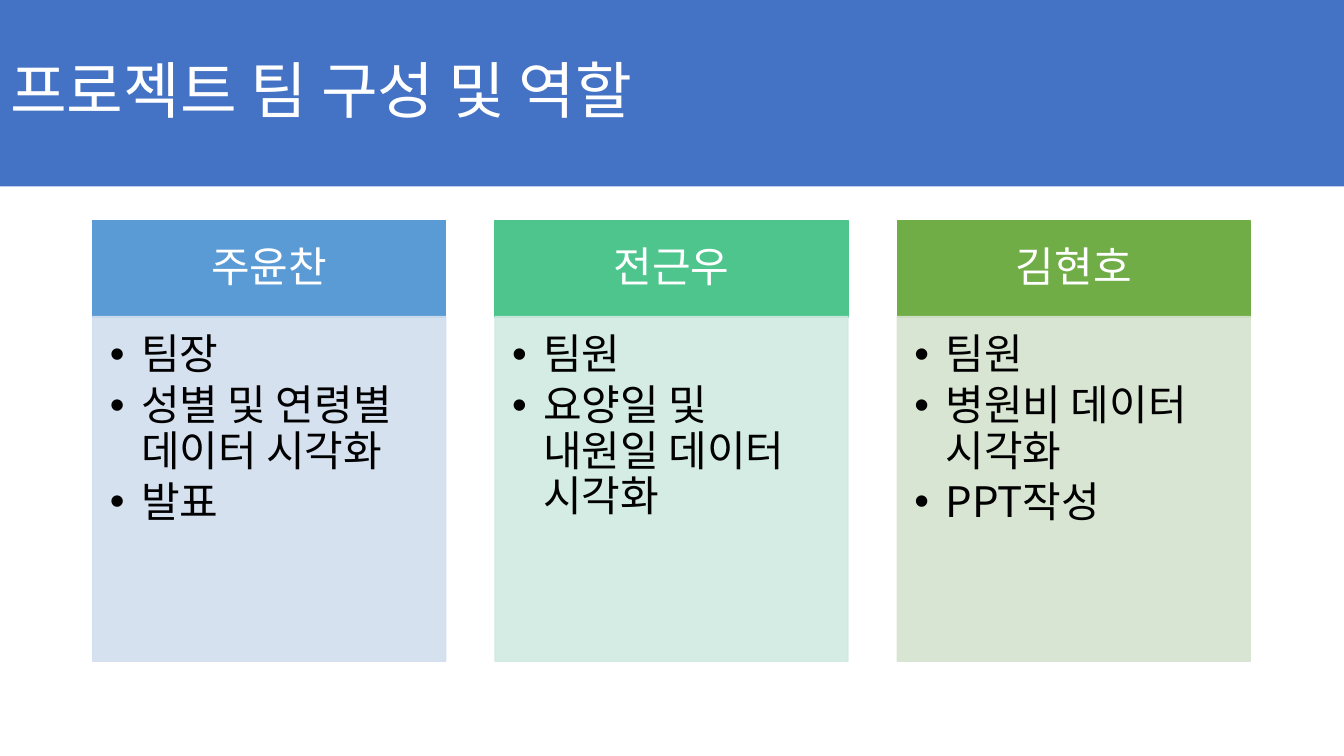
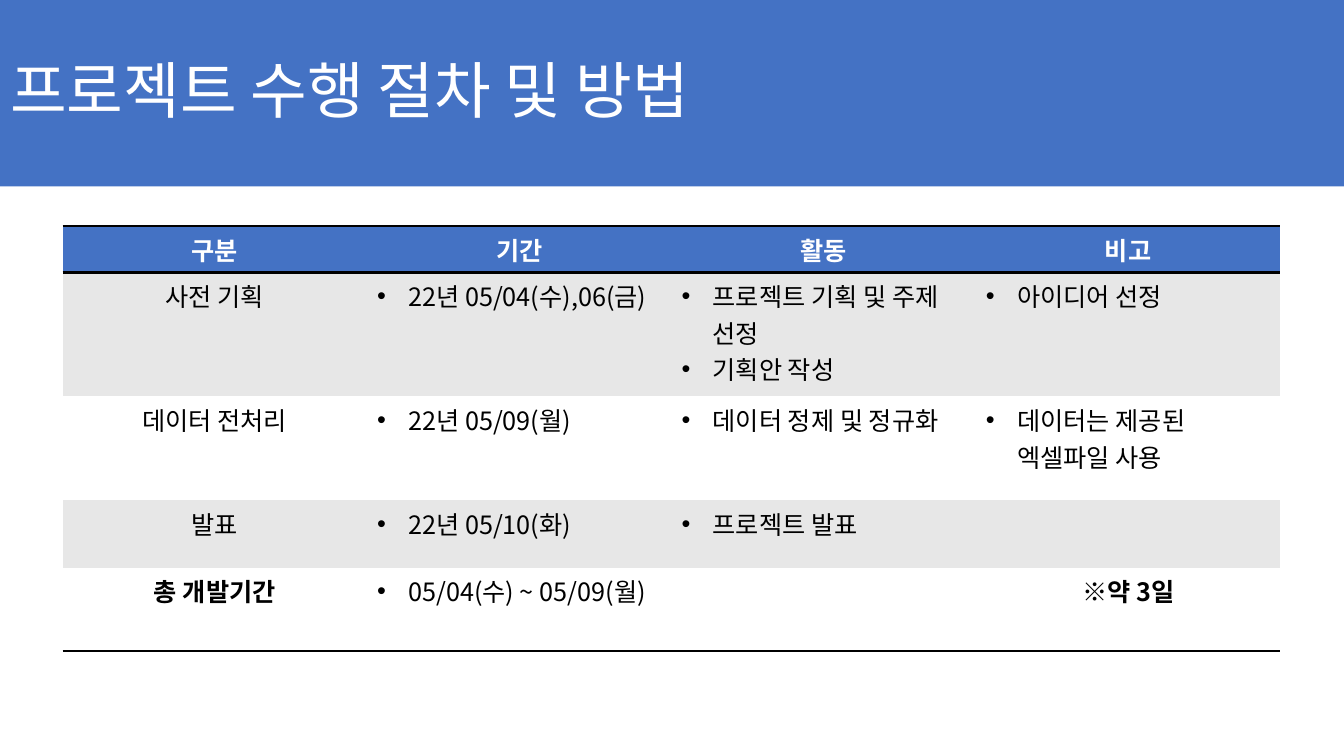
from pptx import Presentation
from pptx.dml.color import RGBColor
from pptx.enum.shapes import MSO_SHAPE
from pptx.enum.text import MSO_ANCHOR, MSO_AUTO_SIZE, PP_ALIGN
from pptx.oxml.ns import qn
from pptx.util import Inches, Pt
from lxml import etree

RECTANGLE = MSO_SHAPE.RECTANGLE
TOP, MIDDLE = MSO_ANCHOR.TOP, MSO_ANCHOR.MIDDLE
LEFT, CENTER = PP_ALIGN.LEFT, PP_ALIGN.CENTER
NO_AUTOFIT = MSO_AUTO_SIZE.NONE

BLUE, WHITE, BLACK, GRAY = "4472C4", "FFFFFF", "000000", "E7E7E7"
TITLE_FONT, BODY_FONT = "Noto Sans CJK KR", "Noto Sans CJK JP"
SLIDE_WIDTH, SLIDE_HEIGHT, BAND_HEIGHT = 13.33, 7.5, 1.85
BULLET_INDENT = 0.31
NO_GRID_STYLE = "{2D5ABB26-0587-4C30-8999-92F81FD0307C}"

TEAM_TITLE = "프로젝트 팀 구성 및 역할"
TEAM = [
    ("주윤찬", "5B9BD5", "D2DEEF", ["팀장", "성별 및 연령별 데이터 시각화", "발표"]),
    ("전근우", "4DC58D", "D0EAE1", ["팀원", "요양일 및 내원일 데이터 시각화"]),
    ("김현호", "70AD47", "D5E3CF", ["팀원", "병원비 데이터 시각화", "PPT작성"]),
]
CARD_LEFT, CARD_STEP, CARD_WIDTH = 0.92, 3.99, 3.5
NAME_TOP, NAME_HEIGHT = 2.19, 0.96
ROLE_TOP, ROLE_HEIGHT = 3.14, 3.42
NAME_INSETS = (0.23, 0.13, 0.23, 0.13)
ROLE_INSETS = (0.17, 0.17, 0.23, 0.26)

PLAN_TITLE = "프로젝트 수행 절차 및 방법"
PLAN_HEADER = ["구분", "기간", "활동", "비고"]
PLAN_STEPS = [
    ["사전 기획", ["22년 05/04(수),06(금)"],
     ["프로젝트 기획 및 주제 선정", "기획안 작성"], ["아이디어 선정"]],
    ["데이터 전처리", ["22년 05/09(월)"],
     ["데이터 정제 및 정규화"], ["데이터는 제공된 엑셀파일 사용"]],
    ["발표", ["22년 05/10(화)"], ["프로젝트 발표"], []],
    ["총 개발기간", ["05/04(수) ~ 05/09(월)"], [], "※약 3일"],
]
PLAN_LEFT, PLAN_TOP, PLAN_COLUMN = 0.62, 2.24, 3.02
PLAN_ROWS = [0.44, 1.23, 1.03, 0.67, 0.67]


def color(value):
    return RGBColor.from_string(value)


def apply(target, formats):
    for name, value in formats.items():
        setattr(target, name, value)


def add_child(parent, tag, **attributes):
    return etree.SubElement(parent, qn(tag), attributes)


def add_bullet(paragraph):
    properties = paragraph._p.get_or_add_pPr()
    properties.set("marL", str(Inches(BULLET_INDENT)))
    properties.set("indent", str(-Inches(BULLET_INDENT)))
    add_child(properties, "a:buFont", typeface="Arial")
    add_child(properties, "a:buChar", char="•")


def write(frame, content, font, size, text_color, bold=False, align=CENTER, **spacing):
    bulleted = isinstance(content, list)
    for index, text in enumerate(content if bulleted else [content]):
        paragraph = frame.paragraphs[0] if index == 0 else frame.add_paragraph()
        apply(paragraph, {"alignment": LEFT if bulleted else align, **spacing})
        if bulleted:
            add_bullet(paragraph)
        run = paragraph.add_run()
        run.text = text
        apply(run.font, {"name": font, "size": Pt(size), "bold": bold})
        run.font.color.rgb = color(text_color)
        add_child(run._r.get_or_add_rPr(), "a:ea", typeface=font)


def add_titled_slide(presentation, text):
    slide = presentation.slides.add_slide(presentation.slide_layouts[5])
    title = slide.shapes.title
    apply(title, {"left": 0, "top": 0, "width": Inches(SLIDE_WIDTH),
                  "height": Inches(BAND_HEIGHT)})
    title.fill.solid()
    title.fill.fore_color.rgb = color(BLUE)
    apply(title.text_frame, {"auto_size": NO_AUTOFIT, "word_wrap": True,
                             "vertical_anchor": MIDDLE})
    write(title.text_frame, text, TITLE_FONT, 44, WHITE, align=LEFT, line_spacing=0.9)
    return slide


def add_panel(slide, box, fill, content, text_color, insets, anchor, opacity=100):
    shape = slide.shapes.add_shape(RECTANGLE, *map(Inches, box))
    shape.shadow.inherit = False
    shape.line.width = Pt(1)
    for paint in (shape.fill, shape.line.fill):
        paint.solid()
        paint.fore_color.rgb = color(fill)
    if opacity < 100:
        for element in shape._element.spPr.iter(qn("a:srgbClr")):
            add_child(element, "a:alpha", val=str(opacity * 1000))
    frame = shape.text_frame
    apply(frame, {"word_wrap": True, "vertical_anchor": anchor})
    sides = ("margin_left", "margin_top", "margin_right", "margin_bottom")
    apply(frame, dict(zip(sides, map(Inches, insets))))
    write(frame, content, BODY_FONT, 30, text_color, line_spacing=0.9, space_after=Pt(4))


def build_team(presentation):
    slide = add_titled_slide(presentation, TEAM_TITLE)
    for index, (name, strong, pale, roles) in enumerate(TEAM):
        left = CARD_LEFT + index * CARD_STEP
        add_panel(slide, (left, NAME_TOP, CARD_WIDTH, NAME_HEIGHT), strong,
                  name, WHITE, NAME_INSETS, MIDDLE)
        add_panel(slide, (left, ROLE_TOP, CARD_WIDTH, ROLE_HEIGHT), pale,
                  roles, BLACK, ROLE_INSETS, TOP, opacity=90)


def add_borders(cell, tags):
    properties = cell._tc.get_or_add_tcPr()
    for index, tag in enumerate(tags):
        line = etree.Element(qn(tag), w=str(Pt(2)))
        add_child(add_child(line, "a:solidFill"), "a:srgbClr", val=BLACK)
        properties.insert(index, line)


def build_plan(presentation):
    slide = add_titled_slide(presentation, PLAN_TITLE)
    rows = [PLAN_HEADER] + PLAN_STEPS
    last = len(rows) - 1
    box = (PLAN_LEFT, PLAN_TOP, PLAN_COLUMN * len(PLAN_HEADER), sum(PLAN_ROWS))
    table = slide.shapes.add_table(len(rows), len(PLAN_HEADER), *map(Inches, box)).table
    table._tbl.tblPr.find(qn("a:tableStyleId")).text = NO_GRID_STYLE
    borders = {0: ["a:lnT", "a:lnB"], last: ["a:lnB"]}
    for row, contents in enumerate(rows):
        table.rows[row].height = Inches(PLAN_ROWS[row])
        fill = BLUE if row == 0 else GRAY if row % 2 else WHITE
        for column, content in enumerate(contents):
            cell = table.cell(row, column)
            cell.fill.solid()
            cell.fill.fore_color.rgb = color(fill)
            add_borders(cell, borders.get(row, []))
            bold = row in borders and isinstance(content, str)
            write(cell.text_frame, content, BODY_FONT, 18,
                  BLACK if row else WHITE, bold=bold)


def main():
    presentation = Presentation()
    apply(presentation, {"slide_width": Inches(SLIDE_WIDTH),
                         "slide_height": Inches(SLIDE_HEIGHT)})
    build_team(presentation)
    build_plan(presentation)
    presentation.save("out.pptx")


if __name__ == "__main__":
    main()
